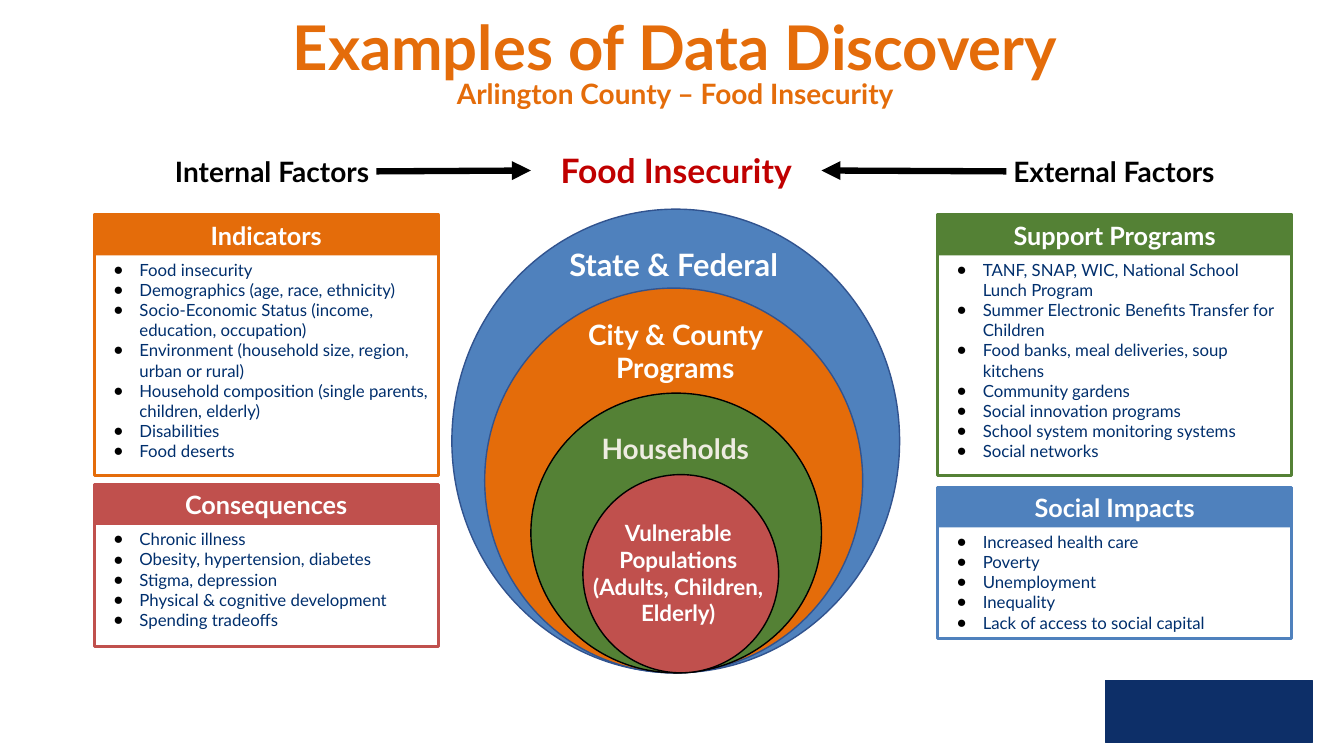
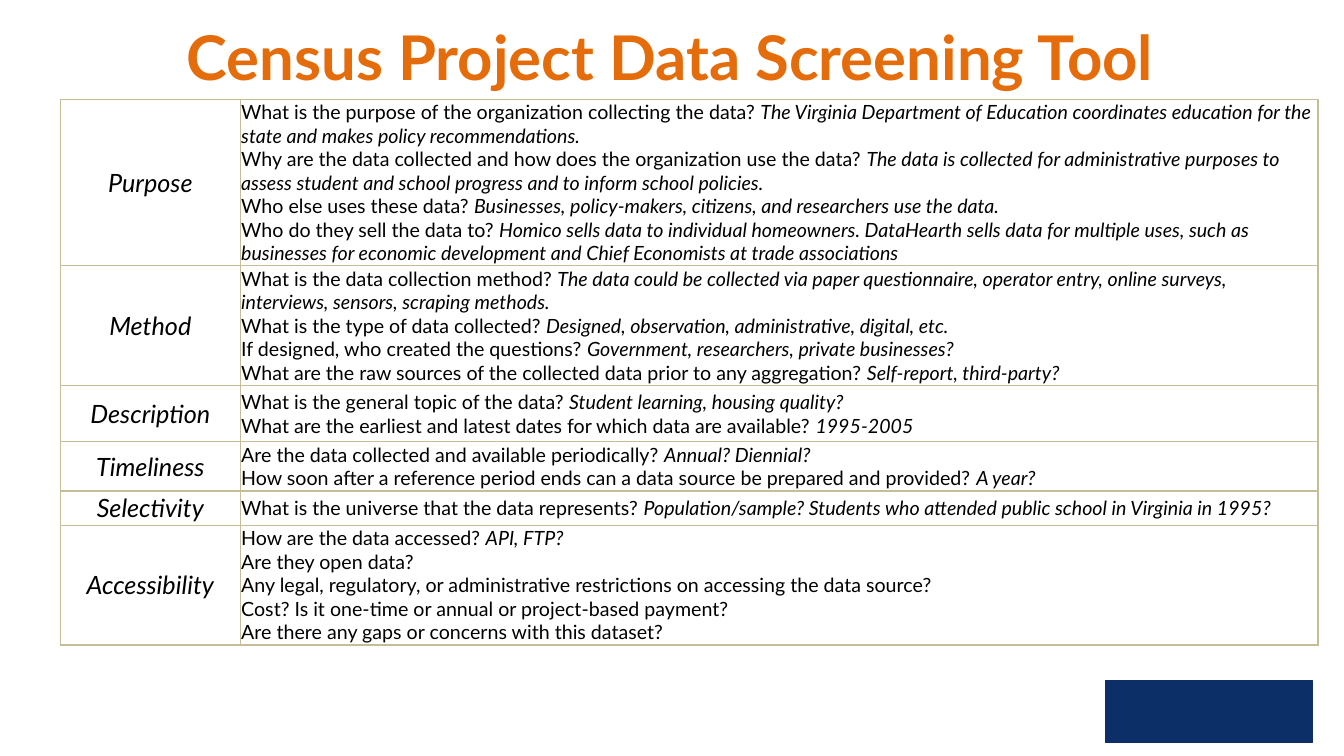
"""Build two slides on data discovery: a food insecurity map and a data screening table."""
import lxml.etree
import pptx
import pptx.dml.color
import pptx.enum.shapes
import pptx.enum.text
import pptx.oxml.ns
import pptx.util

COLOURS = {
    "orange": "E46C0A", "navy": "0D2F68", "ink": "002F6D", "red": "C0504D", "alarm": "C00000",
    "blue": "4F81BD", "green": "548135", "outline": "31538F", "cream": "EEECE1",
    "rule": "C4BD97", "black": "000000", "white": "FFFFFF",
}
RGB = {name: pptx.dml.color.RGBColor.from_string(code) for name, code in COLOURS.items()}
ALIGN = pptx.enum.text.PP_ALIGN
ANCHOR = pptx.enum.text.MSO_ANCHOR
SHAPE = pptx.enum.shapes.MSO_SHAPE
COLUMNS, ROWS = 160, 90
SIDES = ("left", "top", "width", "height")
tag = pptx.oxml.ns.qn

deck = pptx.Presentation()
deck.slide_width = pptx.util.Inches(13.333)
deck.slide_height = pptx.util.Inches(7.5)


def grid(left, top, width, height):
    """Turn columns and rows into slide lengths."""
    column, row = deck.slide_width / COLUMNS, deck.slide_height / ROWS
    return [round(left * column), round(top * row), round(width * column), round(height * row)]


def write(frame, lines, size, colour, align=ALIGN.CENTER, anchor=ANCHOR.TOP, spacing=1.0, bold=True):
    """Fill a text frame with lines of (text, font changes) spans."""
    frame.word_wrap = True
    frame.vertical_anchor = anchor
    for index, spans in enumerate(lines):
        para = frame.add_paragraph() if index else frame.paragraphs[0]
        layout = {"alignment": align, "line_spacing": spacing,
                  "space_before": pptx.util.Pt(0), "space_after": pptx.util.Pt(0)}
        for name, value in layout.items():
            setattr(para, name, value)
        for text, changes in spans:
            span = para.add_run()
            span.text = text
            font = {"name": "Lato", "size": pptx.util.Pt(size), "bold": bold, "italic": False}
            for name, value in {**font, **changes}.items():
                setattr(span.font, name, value)
            span.font.color.rgb = RGB[colour]


factors = deck.slides.add_slide(deck.slide_layouts[4])
screening = deck.slides.add_slide(deck.slide_layouts[5])

badge = factors.shapes.add_shape(SHAPE.RECTANGLE, *grid(131.6, 81, 24.6, 7.4))
badge.shadow.inherit = False
badge.fill.solid()
badge.fill.fore_color.rgb = badge.line.color.rgb = RGB["navy"]
badge.line.width = pptx.util.Pt(0.75)
badge.element.nvSpPr.cNvPr.set("id", "99")
deck.slide_master.element.cSld.spTree.append(badge.element)

titles = [
    (factors, (8.4, 2.2, 144, 5.6),
     [[("Examples of Data Discovery", {})],
      [("Arlington County – Food Insecurity", {"size": pptx.util.Pt(20)})]]),
    (screening, (7.8, 3.4, 144, 15), [[("Census Project Data Screening Tool", {})]]),
]
for page, place, lines in titles:
    title = page.shapes.title
    for side, length in zip(SIDES, grid(*place)):
        setattr(title, side, length)
    title.text_frame.auto_size = pptx.enum.text.MSO_AUTO_SIZE.NONE
    write(title.text_frame, lines, 44, "orange", spacing=0.8)

cards = [
    ("Indicators", "orange", (11.2, 25.6, 41, 31),
     ["Food insecurity", "Demographics (age, race, ethnicity)",
      "Socio-Economic Status (income, education, occupation)",
      "Environment (household size, region, urban or rural)",
      "Household composition (single parents, children, elderly)",
      "Disabilities", "Food deserts"]),
    ("Consequences", "red", (11.2, 57.7, 41, 19.3),
     ["Chronic illness", "Obesity, hypertension, diabetes", "Stigma, depression",
      "Physical & cognitive development", "Spending tradeoffs"]),
    ("Support Programs", "green", (111.6, 25.6, 42.2, 31),
     ["TANF, SNAP, WIC, National School Lunch Program",
      "Summer Electronic Benefits Transfer for Children",
      "Food banks, meal deliveries, soup kitchens", "Community gardens",
      "Social innovation programs", "School system monitoring systems", "Social networks"]),
    ("Social Impacts", "blue", (111.6, 58, 42.2, 18),
     ["Increased health care", "Poverty", "Unemployment", "Inequality",
      "Lack of access to social capital"]),
]
margins = {"margin_left": 0.07, "margin_right": 0.07, "margin_top": 0.44, "margin_bottom": 0.04}
for number, (heading, colour, place, items) in enumerate(cards, 1):
    card = factors.placeholders[number]
    for side, length in zip(SIDES, grid(*place)):
        setattr(card, side, length)
    card.line.color.rgb = RGB[colour]
    card.line.width = pptx.util.Pt(2.25)
    frame = card.text_frame
    frame.auto_size = pptx.enum.text.MSO_AUTO_SIZE.NONE
    for name, value in margins.items():
        setattr(frame, name, pptx.util.Inches(value))
    write(frame, [[(item, {})] for item in items], 12, "ink", ALIGN.LEFT, bold=False)
    for para in frame.paragraphs:
        settings = para._p.get_or_add_pPr()
        settings.set("marL", str(pptx.util.Inches(0.38)))
        settings.set("indent", str(pptx.util.Inches(-0.26)))
        bullet_colour = lxml.etree.SubElement(settings, tag("a:buClr"))
        lxml.etree.SubElement(bullet_colour, tag("a:srgbClr"), val=COLOURS["black"])
        lxml.etree.SubElement(settings, tag("a:buChar"), char="●")

    left, top, width, height = place
    banner = factors.shapes.add_shape(SHAPE.RECTANGLE, *grid(left - 0.1, top, width + 0.2, 4.8))
    banner.shadow.inherit = False
    banner.fill.solid()
    banner.fill.fore_color.rgb = RGB[colour]
    banner.line.fill.background()
    write(banner.text_frame, [[(heading, {})]], 18, "white", anchor=ANCHOR.MIDDLE)

circles = factors.shapes.add_group_shape()
circle_bottom = 80.1
levels = [
    ("State & Federal", 22, "white", "blue", "outline", (53.8, 53.3, 55.2), (64.7, 28.8, 31, 6.4)),
    ("City & County Programs", 20, "white", "orange", "outline", (57.7, 45, 45.8),
     (64.1, 37.3, 32.6, 4.3)),
    ("Households", 20, "cream", "green", "black", (63.2, 34.6, 33.3), (69, 50.9, 22.8, 4.4)),
    ("Vulnerable Populations (Adults, Children, Elderly)", 16, "white", "red", "black",
     (69.4, 23.3, 23.6), (69.1, 61.3, 23.3, 16.2)),
]
labels = []
for text, size, ink, fill, outline, (left, width, height), place in levels:
    circle = circles.shapes.add_shape(
        SHAPE.OVAL, *grid(left, circle_bottom - height, width, height))
    circle.shadow.inherit = False
    circle.fill.solid()
    circle.fill.fore_color.rgb = RGB[fill]
    circle.line.color.rgb = RGB[outline]
    circle.line.width = pptx.util.Pt(1)
    box = circles.shapes.add_textbox(*grid(*place))
    labels.append((box, text, size, ink, ALIGN.CENTER, ANCHOR.TOP))

topic, internal, external = [
    factors.shapes.add_textbox(*grid(*place))
    for place in ((63.2, 18, 34.6, 4.6), (13.1, 18.7, 31.7, 3.4), (119.8, 18.6, 32.6, 3.6))]
labels += [
    (topic, "Food Insecurity", 24, "alarm", ALIGN.CENTER, ANCHOR.MIDDLE),
    (internal, "Internal Factors", 20, "black", ALIGN.RIGHT, ANCHOR.MIDDLE),
    (external, "External Factors", 20, "black", ALIGN.LEFT, ANCHOR.MIDDLE),
]
for box, text, size, ink, align, anchor in labels:
    for name, value in {**margins, "margin_top": 0.04}.items():
        setattr(box.text_frame, name, pptx.util.Inches(value))
    write(box.text_frame, [[(text, {})]], size, ink, align, anchor)

for source, start, end in ((internal, 3, 1), (external, 1, 3)):
    arrow = factors.shapes.add_connector(pptx.enum.shapes.MSO_CONNECTOR.STRAIGHT, 0, 0, 0, 0)
    arrow.begin_connect(source, start)
    arrow.end_connect(topic, end)
    arrow.line.color.rgb = RGB["black"]
    arrow.line.width = pptx.util.Pt(4.5)
    outline = arrow.element.spPr
    lxml.etree.SubElement(outline.find(tag("a:ln")), tag("a:tailEnd"), type="triangle")
    lxml.etree.SubElement(outline, tag("a:effectLst"))

criteria = [
    ("Purpose", 19.8, [
        ("What is the purpose of the organization collecting the data? ",
         "The Virginia Department of Education coordinates education for the state and makes "
         "policy recommendations."),
        ("Why are the data collected and how does the organization use the data? ",
         "The data is collected for administrative purposes to assess student and school "
         "progress and to inform school policies."),
        ("Who else uses these data? ",
         "Businesses, policy-makers, citizens, and researchers use the data."),
        ("Who do they sell the data to? ",
         "Homico sells data to individual homeowners. DataHearth sells data for multiple uses, "
         "such as businesses for economic development and Chief Economists at trade "
         "associations")]),
    ("Method", 14.2, [
        ("What is the data collection method? ",
         "The data could be collected via paper questionnaire, operator entry, online surveys, "
         "interviews, sensors, scraping methods."),
        ("What is the type of data collected? ",
         "Designed, observation, administrative, digital, etc."),
        ("If designed, who created the questions? ",
         "Government, researchers, private businesses?"),
        ("What are the raw sources of the collected data prior to any aggregation? ",
         "Self-report, third-party?")]),
    ("Description", 6.7, [
        ("What is the general topic of the data? ", "Student learning, housing quality?"),
        ("What are the earliest and latest dates for which data are available? ", "1995-2005")]),
    ("Timeliness", 5.8, [
        ("Are the data collected and available periodically? ", "Annual? Diennial?"),
        ("How soon after a reference period ends can a data source be prepared and provided? ",
         "A year?")]),
    ("Selectivity", 4.1, [
        ("What is the universe that the data represents? ",
         "Population/sample? Students who attended public school in Virginia in 1995?")]),
    ("Accessibility", 14.2, [
        ("How are the data accessed? ", "API, FTP?"),
        ("Are they open data?",),
        ("Any legal, regulatory, or administrative restrictions on accessing the data source?",),
        ("Cost? Is it one-time or annual or project-based payment?",),
        ("Are there any gaps or concerns with this dataset?",)]),
]
widths = (21.4, 128.3)
total_height = sum(height for name, height, questions in criteria)
table = screening.shapes.add_table(
    len(criteria), len(widths), *grid(7.2, 11.8, sum(widths), total_height)).table
table.first_row = table.horz_banding = False
for column, width in zip(table.columns, widths):
    column.width = grid(0, 0, width, 0)[2]
for row, (criterion, height, questions) in zip(table.rows, criteria):
    row.height = grid(0, 0, 0, height)[3]
    name_lines = [[(criterion, {"italic": True})]]
    question_lines = [[(text, {"italic": index == 1}) for index, text in enumerate(question)]
                      for question in questions]
    contents = ((name_lines, 18, ALIGN.CENTER), (question_lines, 14, ALIGN.LEFT))
    for cell, (lines, size, align) in zip(row.cells, contents):
        for name in margins:
            setattr(cell, name, pptx.util.Inches(0.01))
        for edge in ("a:lnL", "a:lnR", "a:lnT", "a:lnB"):
            border = lxml.etree.SubElement(
                cell._tc.get_or_add_tcPr(), tag(edge), w=str(pptx.util.Pt(1)))
            paint = lxml.etree.SubElement(border, tag("a:solidFill"))
            lxml.etree.SubElement(paint, tag("a:srgbClr"), val=COLOURS["rule"])
        cell.fill.solid()
        cell.fill.fore_color.rgb = RGB["white"]
        write(cell.text_frame, lines, size, "black", align, bold=False)
        cell.vertical_anchor = ANCHOR.MIDDLE

deck.save("out.pptx")
